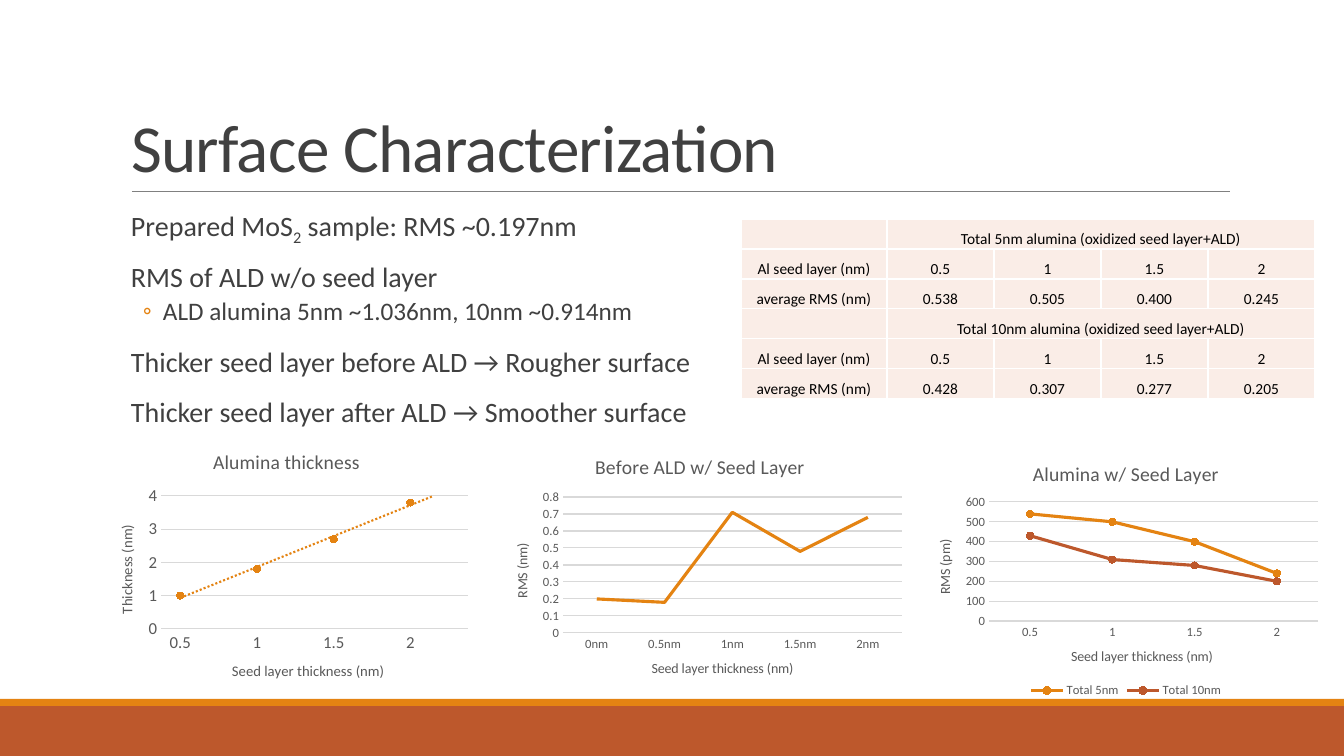
from pptx import Presentation, util as u
from pptx.chart.data import CategoryChartData
from pptx.dml.color import RGBColor
from pptx.enum import chart as ch, dml, shapes, text
from pptx.oxml import parse_xml
from pptx.oxml.ns import nsdecls, qn

FONT = "Calibri"
ORANGE, RUST, DARK, GREY, PALE = "E48312", "BD582C", "404040", "595959", "D9D9D9"
TITLE = "Surface Characterization"

# level, runs; a run is plain text or (text, baseline)
BODY = [
    (0, ["Prepared MoS", ("2", -25000), " sample: RMS ~0.197nm"]),
    (0, ["RMS of ALD w/o seed layer"]),
    (1, ["ALD alumina 5nm ~1.036nm, 10nm ~0.914nm"]),
    (0, ["Thicker seed layer before ALD → Rougher surface"]),
    (0, ["Thicker seed layer after ALD → Smoother surface"]),
]
# size, bullet, left, hang (px), space before, space after
LEVELS = [(20, " ", 10, 10, 12, 2), (18, "◦", 42, 20, 2, 4)]

SEEDS = ["Al seed layer (nm)", "0.5", "1", "1.5", "2"]
TABLE = [
    ["", "Total 5nm alumina (oxidized seed layer+ALD)"],
    SEEDS,
    ["average RMS (nm)", "0.538", "0.505", "0.400", "0.245"],
    ["", "Total 10nm alumina (oxidized seed layer+ALD)"],
    SEEDS,
    ["average RMS (nm)", "0.428", "0.307", "0.277", "0.205"],
]
COLS, ROW = [146] + [107] * 4, 30

CHARTS = [
    dict(title="Alumina thickness", unit="Thickness (nm)",
         box=(97, 434, 379, 267), plot=(161, 496, 307, 133),
         cats=["0.5", "", "1", "", "1.5", "", "2", ""],
         data={"Series 1": [1, None, 1.8, None, 2.7, None, 3.8, None]},
         top=4, step=1, tick=12, label=10.5, dots=True, trend=True),
    dict(title="Before ALD w/ Seed Layer", unit="RMS (nm)",
         box=(491, 439, 418, 258), plot=(563, 497, 339, 136),
         cats=["0nm", "0.5nm", "1nm", "1.5nm", "2nm"],
         data={"Series 1": [0.2, 0.18, 0.71, 0.48, 0.68]},
         top=0.8, step=0.1, tick=9, label=10, dots=False, trend=False),
    dict(title="Alumina w/ Seed Layer", unit="RMS (pm)",
         box=(919, 446, 414, 256), plot=(989, 502, 329, 119),
         cats=["0.5", "1", "1.5", "2"],
         data={"Total 5nm": [540, 500, 400, 240],
               "Total 10nm": [430, 310, 280, 200]},
         top=600, step=100, tick=9, label=10, dots=True, trend=False),
]


def px(*nums):
    return [round(n * 914400 / 100.8) for n in nums]


def rgb(code):
    return RGBColor.from_string(code)


def style(font, size, color):
    font.name, font.size, font.bold = FONT, u.Pt(size), False
    font.color.rgb = rgb(color)


def write(para, words, size=11, color="000000", align=None, **attrs):
    """Add a run; attrs become raw run attributes such as spc or baseline."""
    run = para.add_run()
    run.text = words
    style(run.font, size, color)
    if align is not None:
        para.alignment = align
    for key, val in attrs.items():
        run._r.get_or_add_rPr().set(key, str(val))


def stroke(line, color, width):
    line.color.rgb = rgb(color)
    line.width = u.Pt(width)


def bar(slide, top, height, color):
    shape = slide.shapes.add_shape(
        shapes.MSO_SHAPE.RECTANGLE, *px(0, top, 1344, height))
    shape.shadow.inherit = False
    shape.fill.solid()
    shape.fill.fore_color.rgb = rgb(color)
    shape.line.fill.background()


def place(holder, box):
    holder.left, holder.top, holder.width, holder.height = px(*box)
    frame = holder.text_frame
    frame.word_wrap = True
    frame.auto_size = text.MSO_AUTO_SIZE.NONE
    return frame


def bullet(para, mark, left, hang):
    props = para._p.get_or_add_pPr()
    props.set("marL", str(px(left)[0]))
    props.set("indent", str(px(-hang)[0]))
    for xml in (f'<a:buClr {nsdecls("a")}><a:srgbClr val="{ORANGE}"/></a:buClr>',
                f'<a:buFont {nsdecls("a")} typeface="{FONT}"/>',
                f'<a:buChar {nsdecls("a")} char="{mark}"/>'):
        props.append(parse_xml(xml))


def add_body(holder):
    frame = place(holder, (121, 204, 1109, 249))
    frame.margin_left = frame.margin_right = 0
    frame.vertical_anchor = text.MSO_ANCHOR.TOP
    for i, (level, runs) in enumerate(BODY):
        para = frame.add_paragraph() if i else frame.paragraphs[0]
        size, mark, left, hang, before, after = LEVELS[level]
        para.level = level
        bullet(para, mark, left, hang)
        para.line_spacing = 0.9
        para.space_before = u.Pt(before if i else 0)
        para.space_after = u.Pt(after)
        for run in runs:
            words, base = run if isinstance(run, tuple) else (run, 0)
            write(para, words, size, DARK, text.PP_ALIGN.LEFT, baseline=base)


def fill_cell(cell, words):
    cell.margin_left = cell.margin_right = cell.margin_top = px(1)[0]
    cell.margin_bottom = 0
    cell.vertical_anchor = text.MSO_ANCHOR.BOTTOM
    write(cell.text_frame.paragraphs[0], words, align=text.PP_ALIGN.CENTER)
    props = cell._tc.get_or_add_tcPr()
    for side in "LRTB":
        props.append(parse_xml(
            f'<a:ln{side} {nsdecls("a")} w="12700"><a:solidFill>'
            f'<a:srgbClr val="FFFFFF"/></a:solidFill></a:ln{side}>'))
    cell.fill.solid()
    cell.fill.fore_color.rgb = rgb("FAEDE7")


def add_grid(slide):
    box = px(741, 219, sum(COLS), ROW * len(TABLE))
    grid = slide.shapes.add_table(len(TABLE), len(COLS), *box).table
    grid.first_row = grid.horz_banding = False
    for col, width in zip(grid.columns, px(*COLS)):
        col.width = width
    for r, row in enumerate(TABLE):
        grid.rows[r].height = px(ROW)[0]
        if len(row) == 2:
            grid.cell(r, 1).merge(grid.cell(r, len(COLS) - 1))
        for c in range(len(COLS)):
            fill_cell(grid.cell(r, c), row[c] if c < len(row) else "")


def set_axis(axis, title, item):
    axis.major_tick_mark = axis.minor_tick_mark = ch.XL_TICK_MARK.NONE
    style(axis.tick_labels.font, item["tick"], GREY)
    write(axis.axis_title.text_frame.paragraphs[0], title, item["label"], GREY)


def set_plot(chart, box, plot):
    """Fix the inner plot area, given in slide px, as shares of the chart."""
    area = chart._chartSpace.chart.plotArea
    for old in area.findall(qn("c:layout")):
        area.remove(old)
    shares = [(plot[0] - box[0]) / box[2], (plot[1] - box[1]) / box[3],
              plot[2] / box[2], plot[3] / box[3]]
    parts = "".join(f'<c:{k} val="{v:.3f}"/>' for k, v in zip("xywh", shares))
    area.insert(0, parse_xml(
        f'<c:layout {nsdecls("c")}><c:manualLayout><c:layoutTarget val="inner"/>'
        f'<c:xMode val="edge"/><c:yMode val="edge"/>{parts}'
        '</c:manualLayout></c:layout>'))


def add_trend(series):
    series._element.find(qn("c:cat")).addprevious(parse_xml(
        f'<c:trendline {nsdecls("c", "a")}><c:spPr><a:ln w="19050"><a:solidFill>'
        f'<a:srgbClr val="{ORANGE}"/></a:solidFill><a:prstDash val="sysDot"/></a:ln>'
        '</c:spPr><c:trendlineType val="linear"/><c:forward val="1"/>'
        '<c:dispRSqr val="0"/><c:dispEq val="0"/></c:trendline>'))


def add_graph(slide, item):
    data = CategoryChartData()
    data.categories = item["cats"]
    for name, vals in item["data"].items():
        data.add_series(name, vals)
    kind = ch.XL_CHART_TYPE.LINE_MARKERS if item["dots"] else ch.XL_CHART_TYPE.LINE
    chart = slide.shapes.add_chart(kind, *px(*item["box"]), data).chart
    style(chart.font, 10, "000000")
    write(chart.chart_title.text_frame.paragraphs[0], item["title"], 14, GREY)
    chart.chart_title.include_in_layout = False
    set_plot(chart, item["box"], item["plot"])

    cat, val = chart.category_axis, chart.value_axis
    set_axis(cat, "Seed layer thickness (nm)", item)
    set_axis(val, item["unit"], item)
    stroke(cat.format.line, PALE, 0.75)
    val.axis_title.text_frame._txBody.find(qn("a:bodyPr")).set("rot", "-5400000")
    val.minimum_scale, val.maximum_scale = 0, item["top"]
    val.major_unit = item["step"]
    val.format.line.fill.background()
    stroke(val.major_gridlines.format.line, PALE, 0.75)

    chart.plots[0].vary_by_categories = False
    for series, color in zip(chart.plots[0].series, (ORANGE, RUST)):
        series.smooth = False
        stroke(series.format.line, color, 2.25)
        if item["dots"]:
            dot = series.marker
            dot.style, dot.size = ch.XL_MARKER_STYLE.CIRCLE, 5
            dot.format.fill.solid()
            dot.format.fill.fore_color.rgb = rgb(color)
            stroke(dot.format.line, color, 0.75)
        if item["trend"]:
            add_trend(series)
    chart.has_legend = len(item["data"]) > 1
    if chart.has_legend:
        chart.legend.position = ch.XL_LEGEND_POSITION.BOTTOM
        chart.legend.include_in_layout = False
        style(chart.legend.font, 9, GREY)


def main():
    deck = Presentation()
    deck.slide_width, deck.slide_height = px(1344, 756)
    slide = deck.slides.add_slide(deck.slide_layouts[1])
    bar(slide, 706, 50, RUST)
    bar(slide, 699, 7, ORANGE)
    rule = slide.shapes.add_connector(
        shapes.MSO_CONNECTOR.STRAIGHT, *px(132, 191, 1230, 191))
    stroke(rule.line, "808080", 0.5)
    rule._element.spPr.append(parse_xml(f'<a:effectLst {nsdecls("a")}/>'))

    frame = place(slide.shapes.title, (121, 31, 1109, 160))
    frame.vertical_anchor = text.MSO_ANCHOR.BOTTOM
    frame.paragraphs[0].line_spacing = 0.85
    write(frame.paragraphs[0], TITLE, 48, DARK, text.PP_ALIGN.LEFT, spc=-50)
    add_body(slide.placeholders[1])
    for item in CHARTS:
        add_graph(slide, item)
    add_grid(slide)
    deck.save("out.pptx")


if __name__ == "__main__":
    main()
